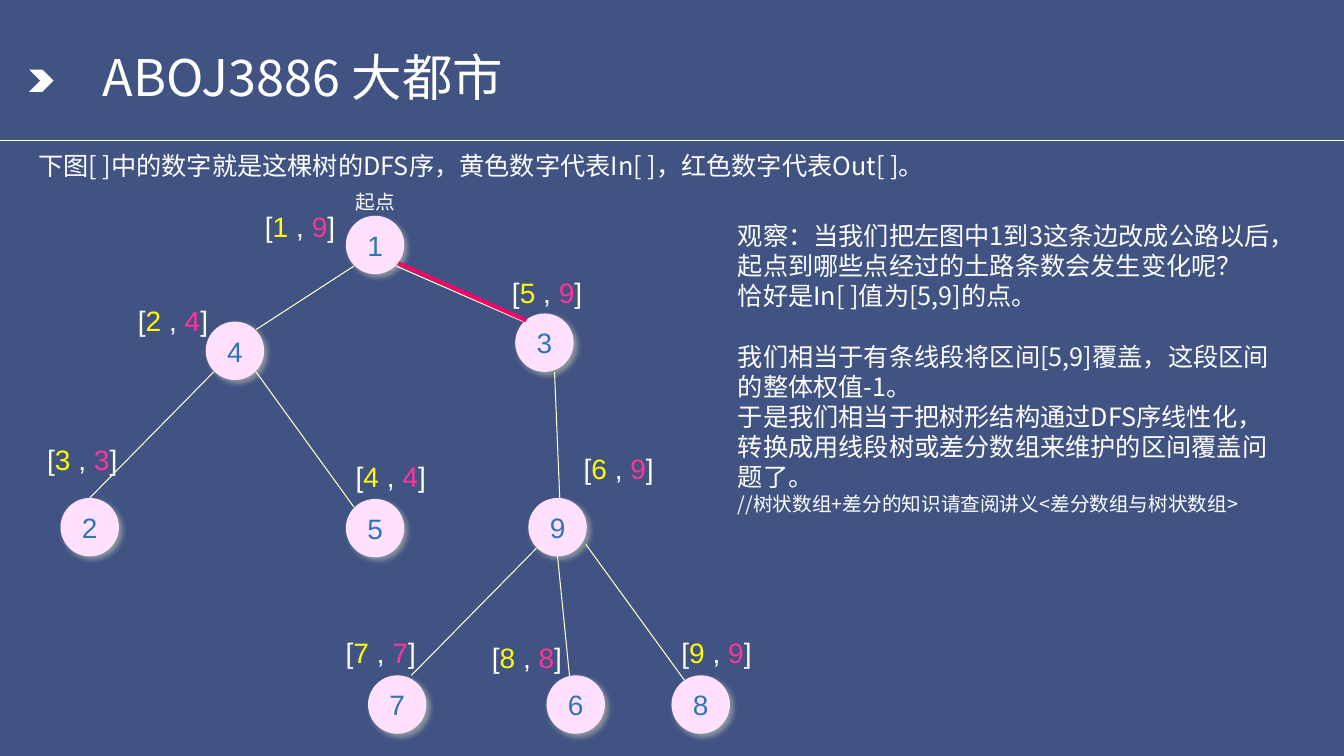
from lxml import etree
from pptx import Presentation
from pptx import util as u
from pptx.dml.color import RGBColor
from pptx.enum import shapes, text
from pptx.oxml.ns import qn

CJK, LATIN = "Noto Sans CJK SC", "Arial"
WHITE, CREAM, PINK = "FFFFFF", "FFFFCC", "FFE1FF"
BLUE, YELLOW, MAGENTA, RED = "2E75B6", "FFFF00", "FF3399", "FF0066"
DIAMETER = 0.58
DIAGONAL = 0.21  # offset from a node's centre to its rim at 45 degrees

# node: (position of circle, position of label, DFS entry, DFS exit)
NODES = {
    1: ((3.06, 0.3), (2.16, 0.19), 1, 9),
    4: ((1.67, 1.35), (0.9, 1.12), 2, 4),
    3: ((4.74, 1.27), (4.61, 0.84), 5, 9),
    2: ((0.23, 3.1), (0, 2.5), 3, 3),
    5: ((3.06, 3.11), (3.06, 2.67), 4, 4),
    9: ((4.87, 3.1), (5.32, 2.59), 6, 9),
    7: ((3.28, 4.86), (2.96, 4.42), 7, 7),
    6: ((5.05, 4.86), (4.41, 4.47), 8, 8),
    8: ((6.29, 4.86), (6.29, 4.42), 9, 9),
}
# parent, offset from its centre, child, offset from its centre
EDGES = [
    (1, (-DIAGONAL, DIAGONAL), 4, (DIAGONAL, -DIAGONAL)),
    (1, (DIAGONAL, DIAGONAL), 3, (-DIAGONAL, -DIAGONAL)),
    (4, (-DIAGONAL, DIAGONAL), 2, (0, -0.29)),
    (4, (DIAGONAL, DIAGONAL), 5, (-DIAGONAL, -DIAGONAL)),
    (3, (0.1, 0.29), 9, (0.03, -0.09)),
    (9, (-DIAGONAL, DIAGONAL), 7, (0.14, -0.29)),
    (9, (0, 0.29), 6, (-0.04, -0.07)),
    (9, (0.28, 0.17), 8, (-0.16, -0.24)),
]
HIGHLIGHTED_EDGE = (1, (0.23, 0.18), 3, (-0.18, -0.22))

# text, size, space before
OBSERVATIONS = [
    ("观察：当我们把左图中1到3这条边改成公路以后，起点到哪些点经过的土路条数会发生变化呢？", 18, 0),
    ("恰好是In[ ]值为[5,9]的点。", 18, 0),
    ("我们相当于有条线段将区间[5,9]覆盖，这段区间的整体权值-1。", 18, 21.5),
    ("于是我们相当于把树形结构通过DFS序线性化，转换成用线段树或差分数组来维护的区间覆盖问题了。", 18, 0),
    ("//树状数组+差分的知识请查阅讲义<差分数组与树状数组>", 14, 0),
]


def rgb(value):
    return RGBColor.from_string(value)


def inches(*lengths):
    return [u.Inches(length) for length in lengths]


def format_run(run, size, color, font=CJK):
    run.font.size = u.Pt(size)
    run.font.name = font
    run.font.color.rgb = rgb(color)
    east_asian = etree.SubElement(run.font._element, qn("a:ea"))
    east_asian.set("typeface", font)


def add_line(slide, start, end, color, width):
    line = slide.shapes.add_connector(
        shapes.MSO_CONNECTOR.STRAIGHT, *inches(*start, *end))
    line.line.color.rgb = rgb(color)
    line.line.width = u.Pt(width)
    etree.SubElement(line._element.spPr, qn("a:effectLst"))


def add_textbox(slide, box):
    frame = slide.shapes.add_textbox(*inches(*box)).text_frame
    frame.word_wrap = True
    return frame


def add_paragraphs(slide, box, items):
    frame = add_textbox(slide, box)
    frame.text = "\n".join(item[0] for item in items)
    for paragraph, (_, size, space_before) in zip(frame.paragraphs, items):
        paragraph.line_spacing = u.Pt(size * 1.195)
        paragraph.space_before = u.Pt(space_before)
        format_run(paragraph.runs[0], size, WHITE)


def add_node_shadow(shape):
    effects = etree.SubElement(shape._element.spPr, qn("a:effectLst"))
    shadow = etree.SubElement(
        effects, qn("a:outerShdw"), blurRad=str(u.Pt(4)), dist=str(u.Pt(3)),
        dir=str(45 * 60000), algn="ctr", rotWithShape="0")
    color = etree.SubElement(shadow, qn("a:srgbClr"), val=CREAM)
    etree.SubElement(color, qn("a:alpha"), val="40000")


def add_node(slide, number, left, top):
    node = slide.shapes.add_shape(
        shapes.MSO_SHAPE.OVAL, *inches(left, top, DIAMETER, DIAMETER))
    node.fill.solid()
    node.fill.fore_color.rgb = rgb(PINK)
    node.line.fill.background()
    add_node_shadow(node)
    frame = node.text_frame
    frame.margin_left = frame.margin_right = 0
    frame.margin_top = frame.margin_bottom = 0
    frame.vertical_anchor = text.MSO_ANCHOR.MIDDLE
    frame.text = str(number)
    frame.paragraphs[0].alignment = text.PP_ALIGN.CENTER
    format_run(frame.paragraphs[0].runs[0], 20, BLUE, LATIN)


def add_interval(slide, entry, leave, left, top):
    paragraph = add_textbox(slide, (left, top, 1.23, 0.44)).paragraphs[0]
    parts = [("[", WHITE), (f"{entry} ", YELLOW), (", ", WHITE),
             (str(leave), MAGENTA), ("]", WHITE)]
    for part, color in parts:
        run = paragraph.add_run()
        run.text = part
        format_run(run, 20, color, LATIN)


def build_header(slide, left, top, width, height):
    # Rule and chevron
    add_line(slide, (left, top + height), (left + width, top + height), WHITE, 0.75)
    chevron = slide.shapes.add_shape(
        shapes.MSO_SHAPE.CHEVRON, *inches(left + 0.29, top + 0.69, 0.24, 0.22))
    chevron.shadow.inherit = False
    chevron.fill.solid()
    chevron.fill.fore_color.rgb = rgb(WHITE)
    chevron.line.fill.background()
    # Title
    title = slide.shapes.title
    title.left, title.top, title.width, title.height = inches(
        left + 0.92, top + 0.4, 11.5, 0.79)
    frame = title.text_frame
    frame.text = "ABOJ3886 大都市"
    frame.vertical_anchor = text.MSO_ANCHOR.MIDDLE
    paragraph = frame.paragraphs[0]
    paragraph.alignment = text.PP_ALIGN.LEFT
    paragraph.line_spacing = 0.9
    format_run(paragraph.runs[0], 36, WHITE)


def build_tree(slide, left, top):
    def rim(number, offset):
        x, y = NODES[number][0]
        return (left + x + DIAMETER / 2 + offset[0],
                top + y + DIAMETER / 2 + offset[1])

    def add_edge(edge, color, width):
        parent, parent_offset, child, child_offset = edge
        add_line(slide, rim(parent, parent_offset), rim(child, child_offset),
                 color, width)

    # Edges lie behind the circles
    for edge in EDGES:
        add_edge(edge, CREAM, 0.75)
    # Circles and their intervals
    for number, ((x, y), _, _, _) in NODES.items():
        add_node(slide, number, left + x, top + y)
    for _, (x, y), entry, leave in NODES.values():
        add_interval(slide, entry, leave, left + x, top + y)
    # Start label and the edge turned into a highway
    add_paragraphs(slide, (left + 3.06, top, 0.91, 0.34), [("起点", 14, 0)])
    add_edge(HIGHLIGHTED_EDGE, RED, 2.75)


def main():
    presentation = Presentation()
    presentation.slide_width, presentation.slide_height = inches(13.33, 7.5)
    slide = presentation.slides.add_slide(presentation.slide_layouts[5])
    slide.background.fill.solid()
    slide.background.fill.fore_color.rgb = rgb("415383")

    build_header(slide, 0, 0, 13.33, 1.39)
    caption = "下图[ ]中的数字就是这棵树的DFS序，黄色数字代表In[ ]，红色数字代表Out[ ]。"
    add_paragraphs(slide, (0.28, 1.44, 9.7, 0.4), [(caption, 18, 0)])
    build_tree(slide, 0.37, 1.84)
    add_paragraphs(slide, (7.22, 2.14, 5.58, 3.06), OBSERVATIONS)
    presentation.save("out.pptx")


if __name__ == "__main__":
    main()
